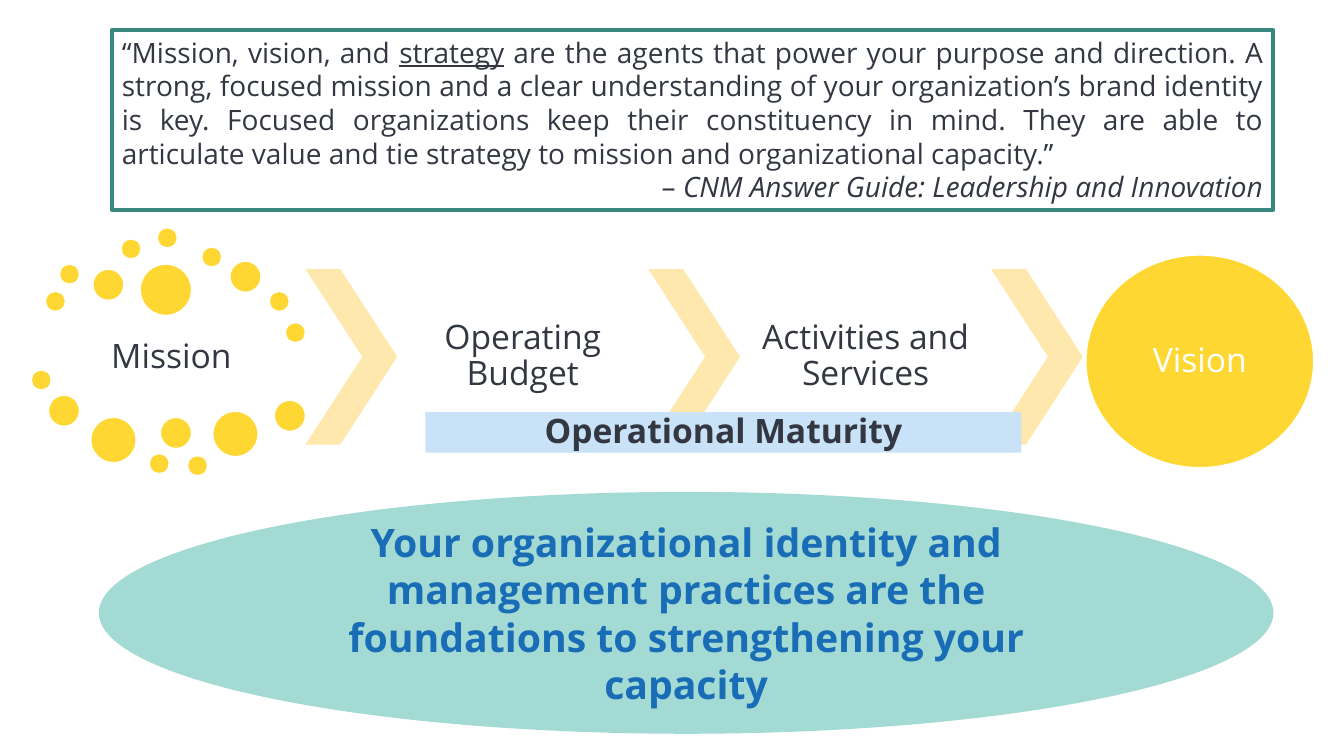
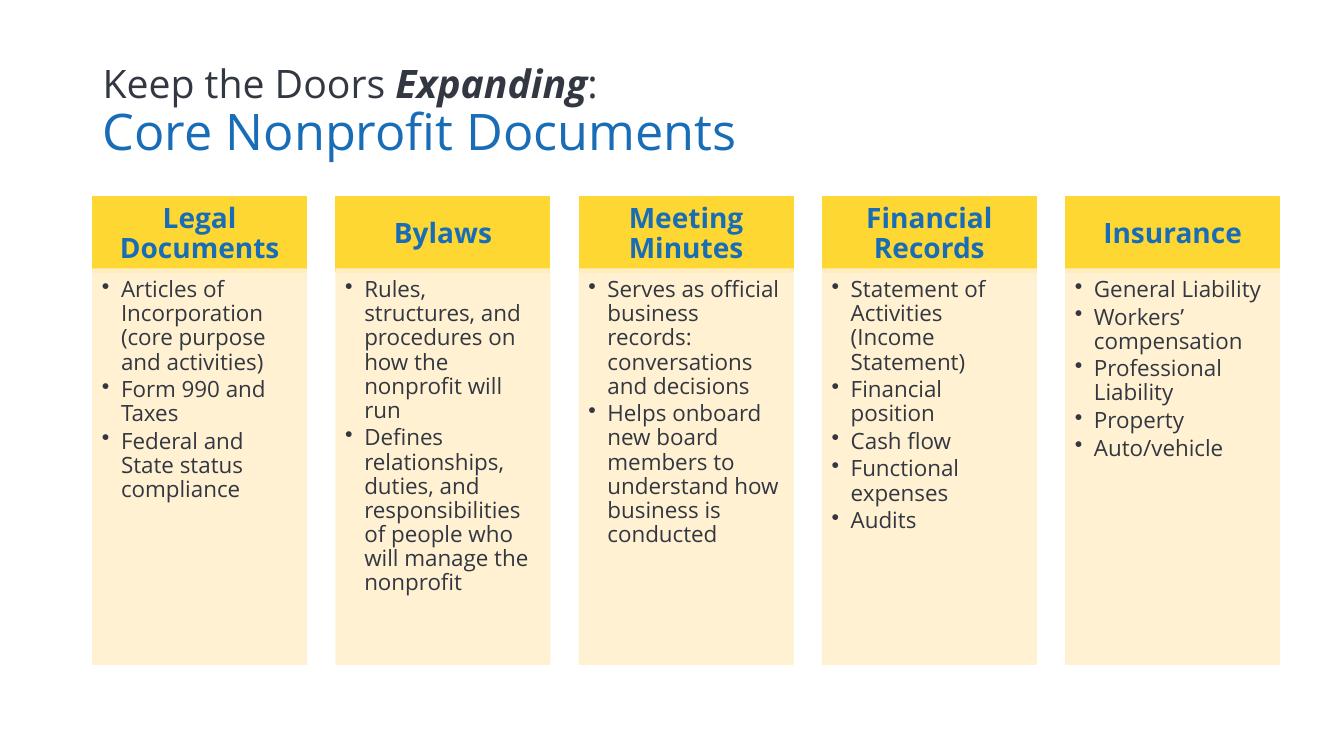
"""Build two slides on nonprofit mission, vision and core documents."""
from lxml import etree
from pptx import Presentation
from pptx.dml.color import RGBColor
from pptx.enum.shapes import MSO_SHAPE
from pptx.enum.text import MSO_ANCHOR, PP_ALIGN
from pptx.oxml.ns import qn
from pptx.util import Inches, Pt

RECTANGLE, OVAL, CHEVRON = MSO_SHAPE.RECTANGLE, MSO_SHAPE.OVAL, MSO_SHAPE.CHEVRON
LEFT, CENTER, RIGHT, JUSTIFY = PP_ALIGN.LEFT, PP_ALIGN.CENTER, PP_ALIGN.RIGHT, PP_ALIGN.JUSTIFY
TOP, MIDDLE = MSO_ANCHOR.TOP, MSO_ANCHOR.MIDDLE


class Theme:
    font = "Open Sans"
    ink = RGBColor.from_string("323741")
    blue = RGBColor.from_string("196DB6")
    yellow = RGBColor.from_string("FFD732")
    sand = RGBColor.from_string("FFE8AE")
    cream = RGBColor.from_string("FFF0CE")
    mint = RGBColor.from_string("A3DAD3")
    green = RGBColor.from_string("37887E")
    sky = RGBColor.from_string("CAE2F8")
    white = RGBColor.from_string("FFFFFF")
    title, statement, label, heading, body = 36, 28, 24, 20, 16
    tight = 0.9


def add_part(slide, preset, box, fill=None, line=None, line_width=1):
    part = slide.shapes.add_shape(preset, *map(Inches, box))
    part.shadow.inherit = False
    if fill is None:
        part.fill.background()
    else:
        part.fill.solid()
        part.fill.fore_color.rgb = fill
    if line is None:
        part.line.fill.background()
    else:
        part.line.color.rgb = line
        part.line.width = Pt(line_width)
    return part


def write(part, paragraphs, size, color=Theme.ink, bold=False, align=CENTER, anchor=MIDDLE,
          insets=(0.03, 0.03, 0.03, 0.03), spacing=Theme.tight, after=0, bullet=False):
    frame = part.text_frame
    frame.word_wrap = True
    frame.vertical_anchor = anchor
    (frame.margin_left, frame.margin_top,
     frame.margin_right, frame.margin_bottom) = map(Inches, insets)
    frame.text = "\n".join(paragraphs)
    for paragraph in frame.paragraphs:
        paragraph.alignment = align
        paragraph.line_spacing = spacing
        paragraph.space_after = Pt(after)
        if bullet:
            properties = paragraph._p.get_or_add_pPr()
            properties.set("marL", str(Inches(0.19)))
            properties.set("indent", str(-Inches(0.19)))
            etree.SubElement(properties, qn("a:buChar"), char="•")
        for run in paragraph.runs:
            run.font.name = Theme.font
            run.font.size = Pt(size)
            run.font.color.rgb = color
            run.font.bold = bold
    return frame


prs = Presentation()
prs.slide_width, prs.slide_height = Inches(13.33), Inches(7.5)
blank = prs.slide_layouts[6]

journey = prs.slides.add_slide(blank)

mission_dots = {
    0.2: [(0.45, 2.89), (0.59, 2.62), (1.2, 2.37), (1.56, 2.26), (2, 2.45), (2.67, 2.89),
          (2.83, 3.2), (0.31, 3.67), (1.48, 4.5), (1.86, 4.52)],
    0.31: [(0.92, 2.67), (2.28, 2.59), (0.48, 3.92), (1.59, 4.14), (2.72, 3.97)],
    0.45: [(0.9, 4.14), (2.11, 4.08)],
    0.51: [(1.39, 2.62)],
}
for diameter, corners in mission_dots.items():
    for left, top in corners:
        add_part(journey, OVAL, (left, top, diameter, diameter), Theme.yellow, Theme.white)

for step in range(3):
    arrow = add_part(journey, CHEVRON, (3.03 + 3.4 * step, 2.67, 0.91, 1.74), Theme.sand)
    arrow.adjustments[0] = 0.62

stages = [("Mission", (0.46, 3.14, 2.48, 0.82)),
          ("Operating Budget", (3.94, 2.67, 2.49, 1.74)),
          ("Activities and Services", (7.34, 2.67, 2.49, 1.74))]
for stage, box in stages:
    write(journey.shapes.add_textbox(*map(Inches, box)), [stage], Theme.label)

vision = add_part(journey, OVAL, (10.77, 2.53, 2.26, 2.11), Theme.yellow, Theme.white)
write(vision, ["Vision"], Theme.label, Theme.white, insets=(0, 0, 0, 0))

statement = add_part(journey, OVAL, (0.98, 4.88, 11.65, 2.4), Theme.mint)
write(statement, ["Your organizational identity and management practices are the foundations "
                  "to strengthening your capacity"],
      Theme.statement, Theme.blue, bold=True, insets=(0.1, 0.05, 0.1, 0.05), spacing=1.0)

quote_box = add_part(journey, RECTANGLE, (1.11, 0.3, 11.52, 1.78), line=Theme.green, line_width=3)
quote = write(quote_box, ["“Mission, vision, and ", "– "], Theme.heading, align=JUSTIFY,
              anchor=TOP, insets=(0.1, 0.05, 0.1, 0.05), spacing=1.0)
quote_tail = (" are the agents that power your purpose and direction. A strong, focused mission "
              "and a clear understanding of your organization’s brand identity is key. Focused "
              "organizations keep their constituency in mind. They are able to articulate value "
              "and tie strategy to mission and organizational capacity.”")
saying, citation = quote.paragraphs
citation.alignment = RIGHT
for paragraph, text, underline, italic in [
        (saying, "strategy", True, False),
        (saying, quote_tail, False, False),
        (citation, "CNM Answer Guide: Leadership and Innovation", False, True)]:
    run = paragraph.add_run()
    run.text = text
    run.font.name = Theme.font
    run.font.size = Pt(Theme.heading)
    run.font.color.rgb = Theme.ink
    run.font.underline = underline
    run.font.italic = italic

maturity = add_part(journey, RECTANGLE, (4.22, 4.09, 5.91, 0.4), Theme.sky)
write(maturity, ["Operational Maturity"], Theme.label, bold=True)

documents = prs.slides.add_slide(blank)

title_box = documents.shapes.add_textbox(*map(Inches, (0.92, 0.4, 11.5, 1.45)))
title = write(title_box, ["Keep the Doors ", "Core Nonprofit Documents"], Theme.statement,
              align=LEFT, insets=(0.1, 0.05, 0.1, 0.05))
lead, topic = title.paragraphs
for text, strong in [("Expanding", True), (":", False)]:
    run = lead.add_run()
    run.text = text
    run.font.name = Theme.font
    run.font.size = Pt(Theme.statement)
    run.font.color.rgb = Theme.ink
    run.font.bold = run.font.italic = strong
topic.runs[0].font.size = Pt(Theme.title)
topic.runs[0].font.color.rgb = Theme.blue

columns = {
    "Legal Documents": [
        "Articles of Incorporation (core purpose and activities)",
        "Form 990 and Taxes",
        "Federal and State status compliance"],
    "Bylaws": [
        "Rules, structures, and procedures on how the nonprofit will run",
        "Defines relationships, duties, and responsibilities of people who will manage "
        "the nonprofit"],
    "Meeting Minutes": [
        "Serves as official business records: conversations and decisions",
        "Helps onboard new board members to understand how business is conducted"],
    "Financial Records": [
        "Statement of Activities (Income Statement)",
        "Financial position", "Cash flow", "Functional expenses", "Audits"],
    "Insurance": [
        "General Liability", "Workers’ compensation", "Professional Liability",
        "Property", "Auto/vehicle"],
}
first_left, last_left, column_width = 0.92, 10.57, 2.12
column_pitch = (last_left - first_left) / (len(columns) - 1)
for index, (heading, items) in enumerate(columns.items()):
    left = first_left + index * column_pitch
    header = add_part(documents, RECTANGLE, (left, 1.95, column_width, 0.75),
                      Theme.yellow, Theme.yellow)
    write(header, [heading], Theme.heading, Theme.blue, bold=True,
          insets=(0.16, 0.09, 0.16, 0.09))
    panel = add_part(documents, RECTANGLE, (left, 2.67, column_width, 3.92),
                     Theme.cream, Theme.cream)
    for color in panel._element.spPr.iter(qn("a:srgbClr")):
        etree.SubElement(color, qn("a:alpha"), val="90000")
    write(panel, items, Theme.body, align=LEFT, anchor=TOP,
          insets=(0.09, 0.09, 0.12, 0.14), after=2.4, bullet=True)

prs.save("out.pptx")
